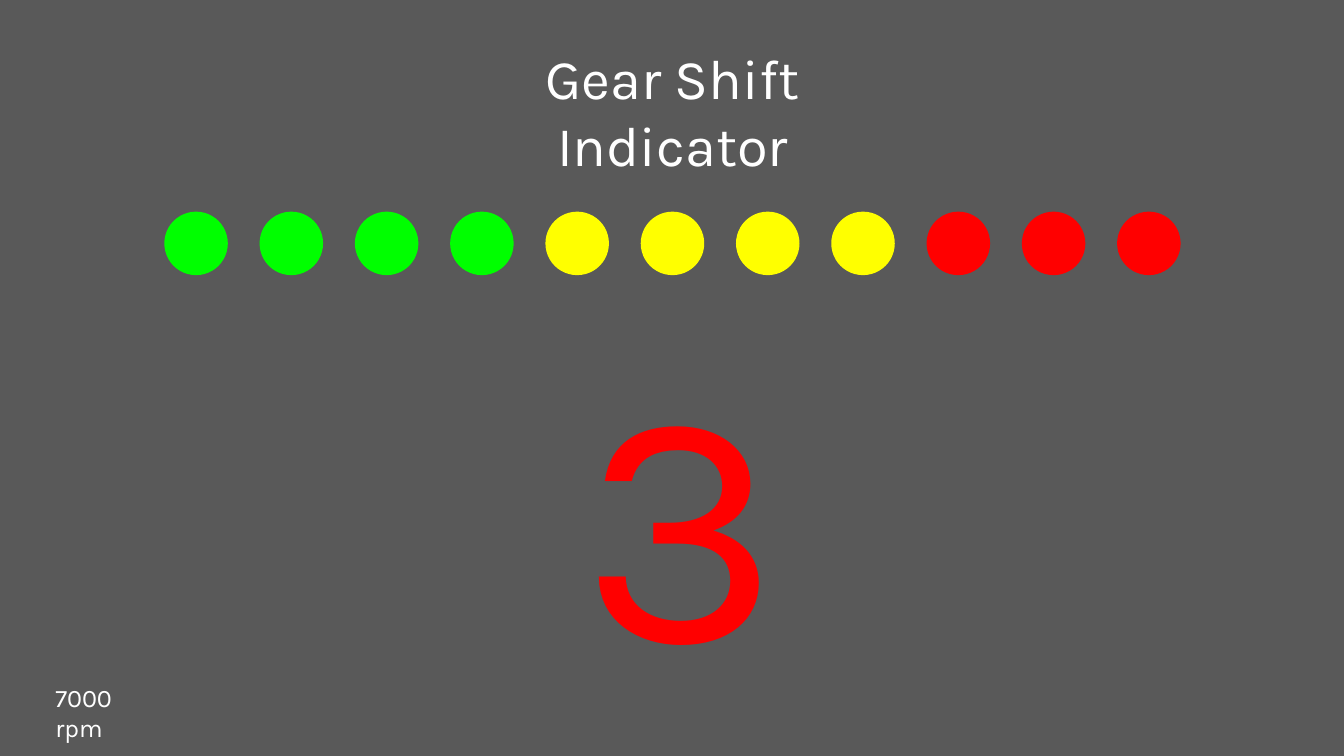
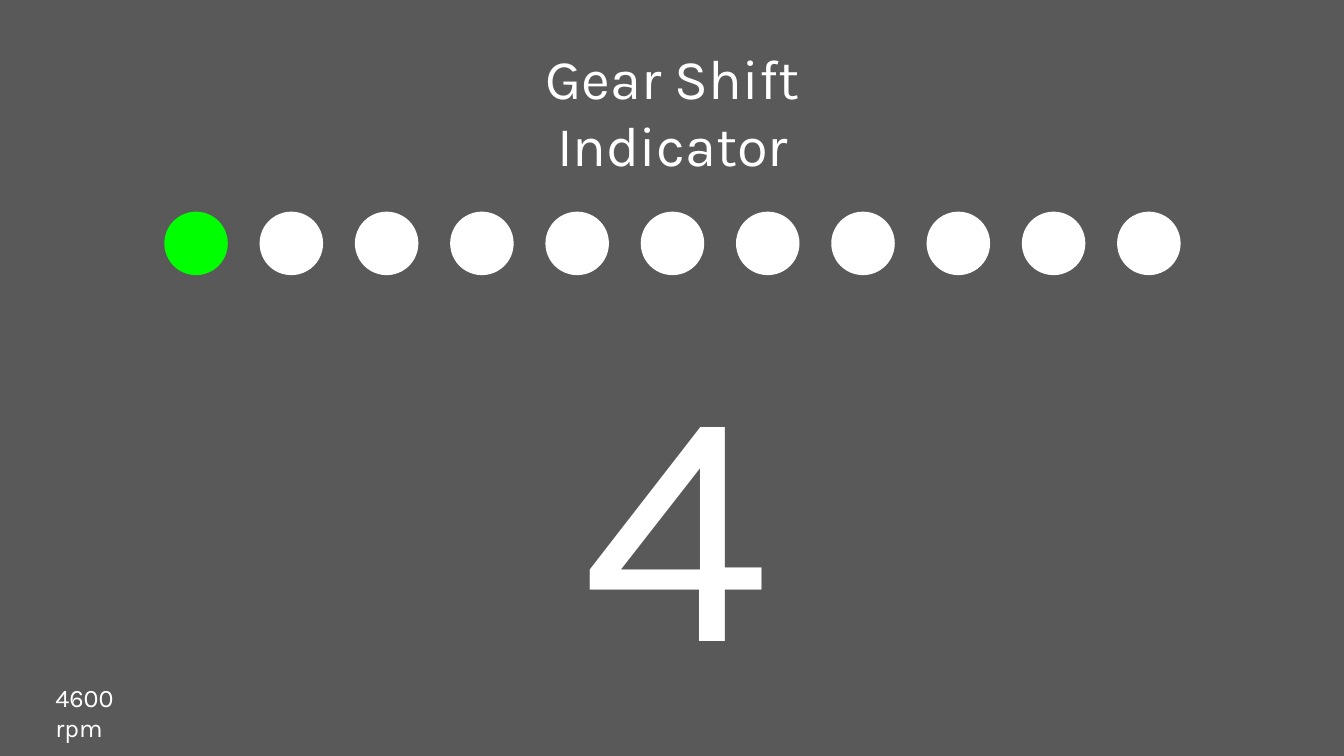
"""Build two gear shift indicator slides with shift lights, gear and engine speed."""
from dataclasses import dataclass

from pptx import Presentation
from pptx.dml.color import RGBColor
from pptx.enum.shapes import MSO_SHAPE
from pptx.enum.text import MSO_ANCHOR, MSO_AUTO_SIZE, PP_ALIGN
from pptx.util import Inches, Pt

OVAL = MSO_SHAPE.OVAL
TOP = MSO_ANCHOR.TOP
GROW = MSO_AUTO_SIZE.SHAPE_TO_FIT_TEXT
LEFT, CENTER = PP_ALIGN.LEFT, PP_ALIGN.CENTER

FONT = "Karla"
COLORS = {
    "background": "595959",
    "white": "FFFFFF",
    "green": "00FF00",
    "yellow": "FFFF00",
    "red": "FF0000",
}
LIGHT_COLORS = ["green"] * 4 + ["yellow"] * 4 + ["red"] * 3
LIGHT_SIZE, LIGHT_TOP = 0.63, 2.1
FIRST_LIGHT, LAST_LIGHT = 1.63, 11.08
LIGHT_PITCH = (LAST_LIGHT - FIRST_LIGHT) / (len(LIGHT_COLORS) - 1)


@dataclass(frozen=True)
class Box:
    left: float
    top: float
    width: float
    height: float


@dataclass(frozen=True)
class Shift:
    gear: str
    gear_color: str
    rpm: int
    lit: int


TITLE_BOX = Box(4.23, 0.38, 4.88, 0.77)
GEAR_BOX = Box(5.67, 2.98, 2, 4.14)
RPM_BOX = Box(0.45, 6.72, 1.23, 0.4)
SHIFTS = [
    Shift("3", "red", 7000, len(LIGHT_COLORS)),
    Shift("4", "white", 4600, 1),
]


def rgb(name: str) -> RGBColor:
    return RGBColor.from_string(COLORS[name])


def place(sp, box: Box) -> None:
    sp.left, sp.top = Inches(box.left), Inches(box.top)
    sp.width, sp.height = Inches(box.width), Inches(box.height)


def write(sp, text: str, size: int, color: str, align: PP_ALIGN) -> None:
    tf = sp.text_frame
    tf.word_wrap = True
    tf.auto_size = GROW
    tf.vertical_anchor = TOP
    p = tf.paragraphs[0]
    p.alignment = align
    r = p.add_run()
    r.text = text
    r.font.name = FONT
    r.font.size = Pt(size)
    r.font.color.rgb = rgb(color)


def add_text(s, box: Box, text: str, size: int, color: str,
             align: PP_ALIGN) -> None:
    sp = s.shapes.add_textbox(0, 0, 0, 0)
    place(sp, box)
    write(sp, text, size, color, align)


def add_lights(s, lit: int) -> None:
    for i, color in enumerate(LIGHT_COLORS):
        sp = s.shapes.add_shape(OVAL, 0, 0, 0, 0)
        place(sp, Box(FIRST_LIGHT + i * LIGHT_PITCH, LIGHT_TOP,
                      LIGHT_SIZE, LIGHT_SIZE))
        sp.shadow.inherit = False
        sp.fill.solid()
        sp.fill.fore_color.rgb = rgb(color if i < lit else "white")
        sp.line.fill.background()


def add_shift_slide(prs, shift: Shift) -> None:
    s = prs.slides.add_slide(prs.slide_layouts[5])
    title = s.shapes.title
    place(title, TITLE_BOX)
    write(title, "Gear Shift Indicator", 40, "white", CENTER)
    add_text(s, GEAR_BOX, shift.gear, 240, shift.gear_color, CENTER)
    add_lights(s, shift.lit)
    add_text(s, RPM_BOX, f"{shift.rpm} rpm", 18, "white", LEFT)


def main() -> None:
    prs = Presentation()
    prs.slide_width, prs.slide_height = Inches(13.33), Inches(7.5)
    fill = prs.slide_master.background.fill
    fill.solid()
    fill.fore_color.rgb = rgb("background")
    for shift in SHIFTS:
        add_shift_slide(prs, shift)
    prs.save("out.pptx")


if __name__ == "__main__":
    main()
